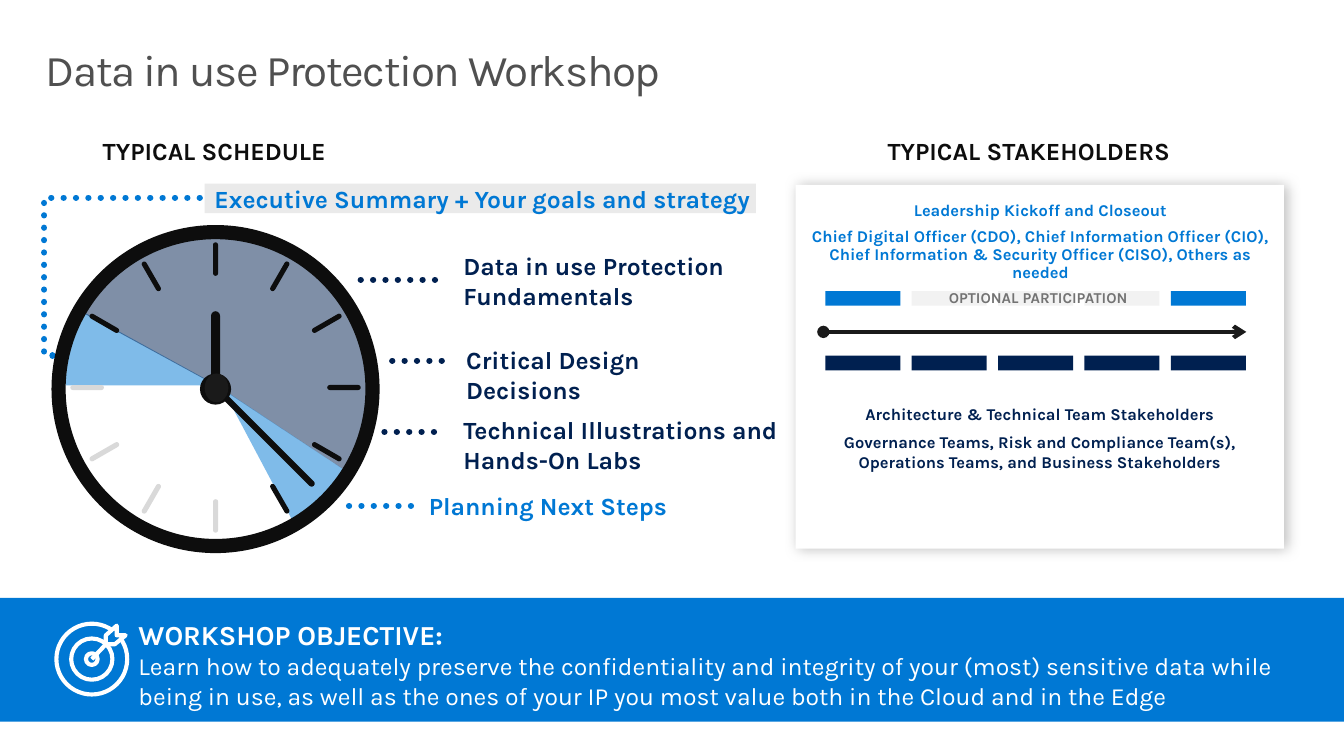
from dataclasses import dataclass
from math import cos, radians, sin

from lxml import etree
from pptx import Presentation
from pptx import util as u
from pptx.dml.color import RGBColor
from pptx.enum import dml, shapes, text
from pptx.oxml.ns import qn

Cm, Pt = u.Cm, u.Pt
Preset = shapes.MSO_SHAPE
LEFT, CENTER = text.PP_ALIGN.LEFT, text.PP_ALIGN.CENTER


@dataclass(frozen=True)
class Theme:
    font: str = "Karla"
    blue: str = "0078D4"
    navy: str = "002050"
    black: str = "0D0D0D"
    charcoal: str = "1A1A1A"
    title_gray: str = "505050"
    caption_gray: str = "737373"
    tick_gray: str = "D9D9D9"
    highlight: str = "EAEAEA"
    optional: str = "F2F2F2"
    white: str = "FFFFFF"
    title_size: float = 32
    objective_size: float = 20
    body_size: float = 18
    note_size: float = 12
    caption_size: float = 11


@dataclass(frozen=True)
class Box:
    """Left, top, width and height in centimetres."""
    x: float
    y: float
    w: float
    h: float


@dataclass(frozen=True)
class Style:
    size: float
    color: str
    bold: bool = True
    align: text.PP_ALIGN = LEFT
    after: float = 0
    leading: float = 1


@dataclass(frozen=True)
class Session:
    name: str
    box: Box
    color: str
    dots: tuple[float, float, float]  # start x, end x, y


@dataclass(frozen=True)
class Sector:
    box: Box
    turn: float
    angles: tuple[float, float]
    color: str


T = Theme()
CLOCK_X, CLOCK_Y = 5.54, 9.96
TARGET_X, TARGET_Y = 2.36, 16.94
LABEL_INSETS = (0.25, 0, 0, 0)
DEFAULT_INSETS = (0.25, 0.13, 0.25, 0.13)

SECTORS = [
    Sector(Box(1.7, 5.97, 7.77, 7.87), 29.7, (150.31, 179.04), T.blue),
    Sector(Box(1.78, 5.99, 7.67, 7.9), 270, (298.62, 123.45), T.navy),
    Sector(Box(1.9, 6.07, 7.65, 7.87), 29.7, (3.87, 32.32), T.blue),
]
SESSIONS = [
    Session("Data in use Protection \vFundamentals", Box(11.66, 6.45, 9.32, 1.55), T.navy, (9.27, 11.48, 7.19)),
    Session("Critical Design Decisions", Box(11.73, 8.86, 7.67, 0.76), T.navy, (10.08, 11.66, 9.27)),
    Session("Technical Illustrations and Hands-On Labs", Box(11.66, 10.67, 8.46, 1.55), T.navy, (9.88, 11.46, 11.1)),
    Session("Planning Next Steps", Box(10.77, 12.62, 6.65, 0.76), T.blue, (8.97, 10.64, 13)),
]

deck = Presentation()
deck.slide_width, deck.slide_height = Cm(34.54), Cm(19.43)
slide = deck.slides.add_slide(deck.slide_layouts[6])


def add_xml(parent, tag: str, **attributes: str):
    return etree.SubElement(parent, qn(tag), attributes)


def paint(shape, fill: str | None, line: str | None = None, weight: float = 0) -> None:
    shape.shadow.inherit = False
    if fill:
        shape.fill.solid()
        shape.fill.fore_color.rgb = RGBColor.from_string(fill)
    else:
        shape.fill.background()
    if line:
        shape.line.color.rgb = RGBColor.from_string(line)
        shape.line.width = Pt(weight)
    else:
        shape.line.fill.background()


def draw(preset: Preset, box: Box, fill: str | None, line: str | None = None, weight: float = 0):
    shape = slide.shapes.add_shape(preset, Cm(box.x), Cm(box.y), Cm(box.w), Cm(box.h))
    paint(shape, fill, line, weight)
    return shape


def set_angles(shape, *degrees: float) -> None:
    """Preset angles count 60000 to a degree, adjustments 100000 to a unit."""
    for index, degree in enumerate(degrees):
        shape.adjustments[index] = degree * 0.6


def set_frame(shape, insets: tuple[float, float, float, float]):
    frame = shape.text_frame
    frame.word_wrap = True
    frame.vertical_anchor = text.MSO_ANCHOR.TOP
    frame.margin_left, frame.margin_top, frame.margin_right, frame.margin_bottom = map(Cm, insets)
    return frame


def style_paragraph(paragraph, style: Style) -> None:
    paragraph.alignment = style.align
    paragraph.space_after = Pt(style.after)
    paragraph.line_spacing = style.leading
    font = paragraph.font
    font.name, font.size, font.bold = T.font, Pt(style.size), style.bold
    font.color.rgb = RGBColor.from_string(style.color)


def write(shape, lines: list[str], style: Style, insets=DEFAULT_INSETS):
    frame = set_frame(shape, insets)
    for index, line in enumerate(lines):
        paragraph = frame.add_paragraph() if index else frame.paragraphs[0]
        paragraph.text = line
        style_paragraph(paragraph, style)
    return frame


def add_text(box: Box, lines: list[str], style: Style, insets=DEFAULT_INSETS):
    return write(slide.shapes.add_textbox(Cm(box.x), Cm(box.y), Cm(box.w), Cm(box.h)), lines, style, insets)


def connect(x1: float, y1: float, x2: float, y2: float, color: str, weight: float,
            dotted: bool = False, kind=shapes.MSO_CONNECTOR.STRAIGHT):
    connector = slide.shapes.add_connector(kind, Cm(x1), Cm(y1), Cm(x2), Cm(y2))
    connector.line.color.rgb = RGBColor.from_string(color)
    connector.line.width = Pt(weight)
    properties = connector._element.spPr
    if dotted:
        connector.line.dash_style = dml.MSO_LINE.ROUND_DOT
        properties.find(qn("a:ln")).set("cap", "rnd")
    add_xml(properties, "a:effectLst")
    return connector


def clock_bar(angle: float, distance: float, width: float, length: float, color: str) -> None:
    """Rounded bar pointing away from the clock's centre, clockwise from twelve."""
    x = CLOCK_X + distance * sin(radians(angle))
    y = CLOCK_Y - distance * cos(radians(angle))
    bar = draw(Preset.ROUNDED_RECTANGLE, Box(x - width / 2, y - length / 2, width, length), color)
    bar.adjustments[0] = 0.5
    bar.rotation = angle


def around(x: float, y: float, radius: float) -> Box:
    return Box(x - radius, y - radius, 2 * radius, 2 * radius)


def draw_clock() -> None:
    for sector in SECTORS:
        pie = draw(Preset.PIE, sector.box, sector.color)
        pie.rotation = sector.turn
        set_angles(pie, *sector.angles)
        add_xml(pie._element.spPr.find(".//" + qn("a:srgbClr")), "a:alpha", val="50000")
    rim = draw(Preset.DONUT, around(CLOCK_X, 10, 4.11), T.black, T.black, 6)
    rim.adjustments[0] = 0.0185
    for hour in range(12):
        clock_bar(hour * 30, 3.3, 0.13, 0.86, T.tick_gray if 6 <= hour <= 9 else T.black)
    clock_bar(0, 0.88, 0.23, 2.16, T.black)
    clock_bar(135, 1.79, 0.16, 3.56, T.black)
    draw(Preset.OVAL, around(CLOCK_X, CLOCK_Y + 0.04, 0.4), T.black)
    draw(Preset.OVAL, Box(5.26, 9.6, 0.61, 0.74), T.charcoal)


def draw_schedule() -> None:
    summary_dots = connect(9.27, 5.08, 1.83, 9.14, T.blue, 4.5, True, shapes.MSO_CONNECTOR.ELBOW)
    guides = summary_dots._element.spPr.find(qn("a:prstGeom")).find(qn("a:avLst"))
    add_xml(guides, "a:gd", name="adj1", fmla="val 109300")
    write(draw(Preset.RECTANGLE, Box(5.26, 4.72, 14.17, 0.76), T.highlight),
          ["Executive Summary + Your goals and strategy"], Style(T.body_size, T.blue), LABEL_INSETS)
    draw_clock()
    for session in SESSIONS:
        add_text(session.box, [session.name], Style(T.body_size, session.color), LABEL_INSETS)
        start, end, y = session.dots
        connect(start, y, end, y, session.color, 4.5, True)


def draw_stakeholders() -> None:
    card = draw(Preset.RECTANGLE, Box(20.45, 4.75, 12.55, 9.35), T.white)
    shadow = add_xml(card._element.spPr.find(qn("a:effectLst")), "a:outerShdw",
                     blurRad=str(Pt(10)), dist=str(Pt(2)), dir="0", algn="ctr", rotWithShape="0")
    add_xml(add_xml(shadow, "a:srgbClr", val="000000"), "a:alpha", val="25000")
    add_text(Box(21.29, 10.01, 10.87, 3.73), [
        "Architecture & Technical Team Stakeholders",
        "Governance Teams, Risk and Compliance Team(s), Operations Teams, and Business Stakeholders",
    ], Style(T.note_size, T.navy, align=CENTER, after=6), (0.25, 0.38, 0.25, 0.38))
    add_text(Box(19.96, 4.83, 13.31, 1.73), [
        "Leadership Kickoff and Closeout",
        "Chief Digital Officer (CDO), Chief Information Officer (CIO), "
        "Chief Information & Security Officer (CISO), Others as needed",
    ], Style(T.note_size, T.blue, align=CENTER, after=6, leading=0.9), (0.76, 0.38, 0.51, 0.38))
    for stage in range(5):
        x = 21.21 + stage * 2.22
        draw(Preset.RECTANGLE, Box(x, 9.14, 1.93, 0.38), T.navy)
        draw(Preset.RECTANGLE, Box(x, 7.48, 1.93, 0.38), T.blue if stage in (0, 4) else T.optional)
    add_text(Box(23.42, 7.29, 6.53, 0.74), ["OPTIONAL PARTICIPATION"],
             Style(T.caption_size, T.caption_gray, align=CENTER, after=4))
    timeline = connect(21.16, 8.53, 32.03, 8.53, T.charcoal, 3)
    outline = timeline._element.spPr.find(qn("a:ln"))
    add_xml(outline, "a:headEnd", type="oval")
    add_xml(outline, "a:tailEnd", type="arrow")


def draw_target() -> None:
    rim = draw(Preset.ARC, around(TARGET_X, TARGET_Y, 0.91), None, T.white, 3)
    set_angles(rim, 325.4, 304.6)
    for radius in (0.53, 0.15):
        draw(Preset.OVAL, around(TARGET_X, TARGET_Y, radius), None, T.white, 3)
    connect(TARGET_X, TARGET_Y, 2.72, 16.56, T.white, 3)
    feathers = slide.shapes.build_freeform(Cm(3.23), Cm(16.33))
    feathers.add_line_segments([(Cm(x), Cm(y)) for x, y in (
        (3, 16.33), (3, 16.08), (2.72, 16.33), (2.72, 16.56), (2.95, 16.56))])
    paint(feathers.convert_to_shape(), None, T.white, 3)


def draw_objective() -> None:
    band = draw(Preset.RECTANGLE, Box(0, 15.37, 34.54, 3.18), T.blue)
    paragraph = set_frame(band, (3.56, 0.51, 1.27, 0.51)).paragraphs[0]
    style_paragraph(paragraph, Style(T.body_size, T.white, bold=False))
    heading = paragraph.add_run()
    heading.text = "WORKSHOP OBJECTIVE: "
    heading.font.size, heading.font.bold = Pt(T.objective_size), True
    paragraph.add_line_break()
    paragraph.add_run().text = (
        "Learn how to adequately preserve the confidentiality and integrity of your (most) sensitive data "
        "while being in use, as well as the ones of your IP you most value both in the Cloud and in the Edge")
    draw_target()


def main() -> None:
    title = add_text(Box(0.76, 0.99, 33.02, 2.39), ["Data in use Protection Workshop"],
                     Style(T.title_size, T.title_gray, bold=False, leading=0.9), (0.41, 0.25, 0.41, 0.25))
    title.paragraphs[0].runs[0]._r.get_or_add_rPr().set("spc", "-100")
    for heading, x, width in (("TYPICAL SCHEDULE", 2.39, 6.45), ("TYPICAL STAKEHOLDERS", 22.56, 8.03)):
        add_text(Box(x, 3.35, width, 1.02), [heading], Style(T.body_size, T.black, after=4))
    draw_schedule()
    draw_stakeholders()
    draw_objective()
    deck.save("out.pptx")


if __name__ == "__main__":
    main()
